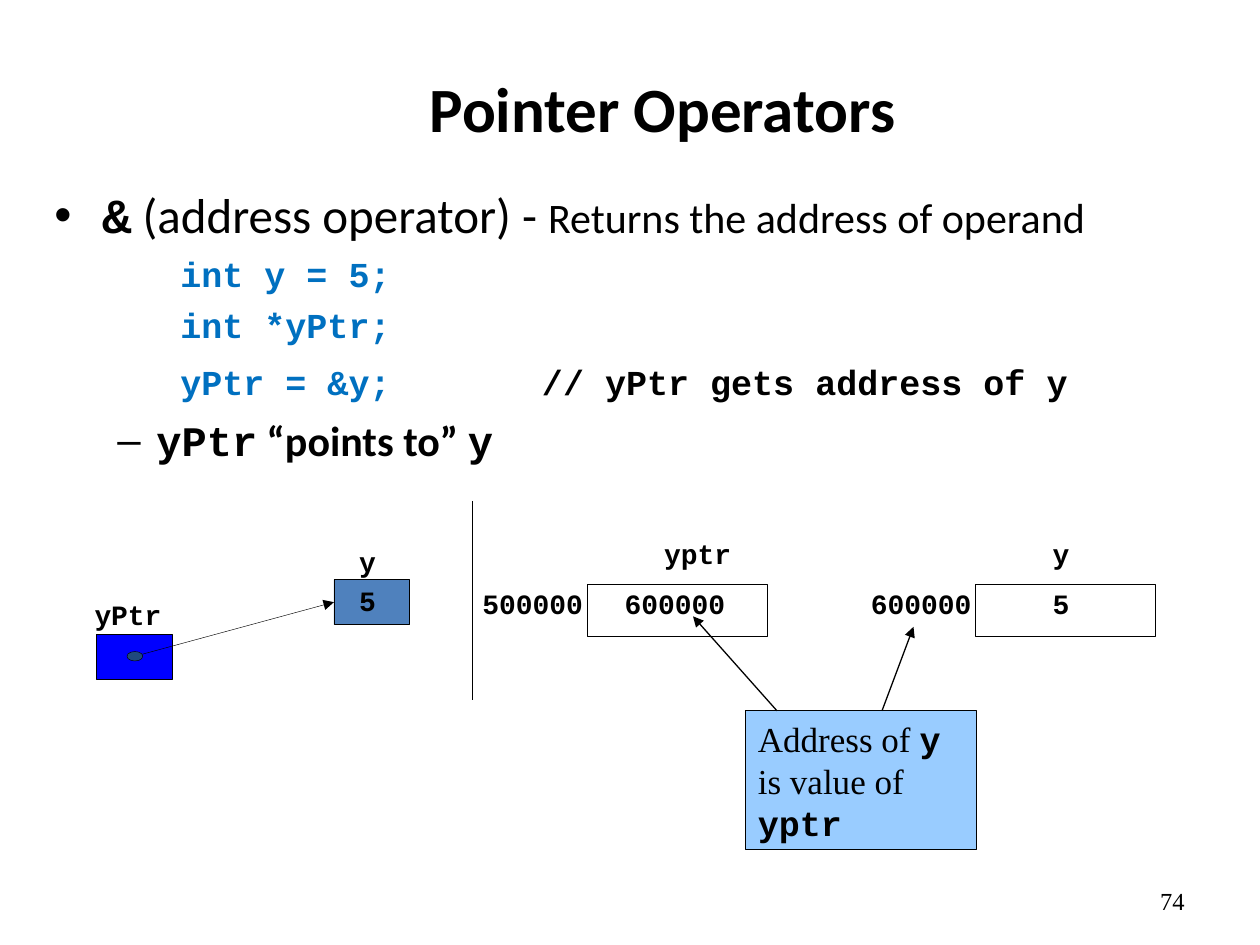
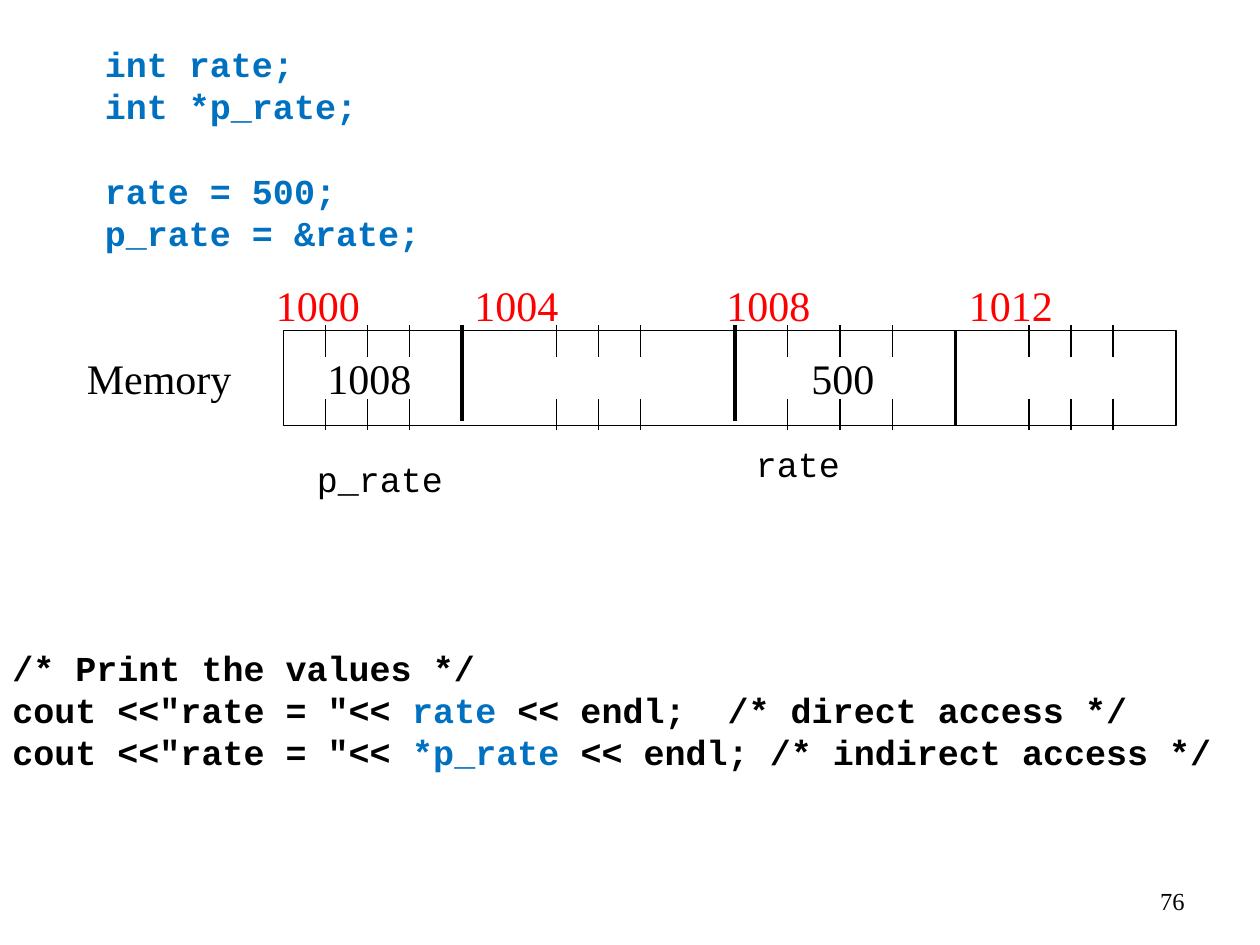
from collections import namedtuple
from dataclasses import dataclass
from lxml import etree
from pptx import Presentation
from pptx.dml.color import RGBColor
from pptx.enum.shapes import MSO_CONNECTOR, MSO_SHAPE
from pptx.enum.text import MSO_ANCHOR, PP_ALIGN
from pptx.oxml.ns import qn
from pptx.util import Inches, Pt

BOX, OVAL = MSO_SHAPE.RECTANGLE, MSO_SHAPE.OVAL
STRAIGHT = MSO_CONNECTOR.STRAIGHT
TOP, MIDDLE = MSO_ANCHOR.TOP, MSO_ANCHOR.MIDDLE
LEFT, CENTER, RIGHT = PP_ALIGN.LEFT, PP_ALIGN.CENTER, PP_ALIGN.RIGHT
COLS, ROWS = 120, 90  # grid of the slide, 12 steps to the inch

Style = namedtuple("Style", "font size color bold", defaults=("000000", False))
Para = namedtuple("Para", "runs margin hang bullet before", defaults=(0, 0, None, 0))


@dataclass(frozen=True)
class Theme:
    black: str = "000000"
    red: str = "FF0000"
    pointer: str = "0000FF"
    value: str = "4F81BD"
    dot: str = "1F497D"
    note: str = "99CCFF"
    thin: float = 0.25
    rule: float = 0.75
    thick: float = 2.25
    title: Style = Style("Calibri", 36, bold=True)
    lead: Style = Style("Calibri", 28)
    lead_code: Style = Style("Courier New", 28, bold=True)
    text: Style = Style("Calibri", 24)
    strong: Style = Style("Calibri", 24, bold=True)
    big_code: Style = Style("Courier New", 24, bold=True)
    code: Style = Style("Courier New", 20, bold=True)
    blue_code: Style = Style("Courier New", 20, "0070C0", True)
    plain_code: Style = Style("Courier New", 20)
    label: Style = Style("Courier New", 16, bold=True)
    serif: Style = Style("Times New Roman", 24)
    address: Style = Style("Times New Roman", 24, red)
    remark: Style = Style("Times New Roman", 20)
    number: Style = Style("Times New Roman", 14)


T = Theme()


def grid(*steps):
    return [Inches(step / 12) for step in steps]


def rgb(color):
    return RGBColor.from_string(color)


def add_tag(parent, name, **attrs):
    return etree.SubElement(parent, qn(name), attrs)


def mark(para, spec):
    """Set indent and bullet of a paragraph."""
    props = para._p.get_or_add_pPr()
    props.set("marL", str(Inches(spec.margin)))
    props.set("indent", str(Inches(-spec.hang)))
    if spec.bullet:
        add_tag(add_tag(props, "a:buClr"), "a:srgbClr", val=T.black)
        add_tag(props, "a:buFont", typeface="Arial")
        add_tag(props, "a:buChar", char=spec.bullet)
    else:
        add_tag(props, "a:buNone")


def write(frame, paras, align=LEFT, anchor=TOP, inset=True, spacing=None):
    frame.word_wrap = True
    frame.vertical_anchor = anchor
    frame.margin_left = frame.margin_right = Inches(0.1 if inset else 0)
    frame.margin_top = frame.margin_bottom = Inches(0.05 if inset else 0)
    for i, spec in enumerate(paras):
        para = frame.add_paragraph() if i else frame.paragraphs[0]
        mark(para, spec)
        para.alignment = align
        para.space_before = Pt(spec.before)
        if spacing:
            para.line_spacing = spacing
        for words, style in spec.runs:
            run = para.add_run()
            run.text = words
            run.font.name, run.font.size = style.font, Pt(style.size)
            run.font.bold = style.bold
            run.font.color.rgb = rgb(style.color)


def add_text(slide, place, paras, **how):
    write(slide.shapes.add_textbox(*grid(*place)).text_frame, paras, **how)


def add_word(slide, place, word, style, **how):
    add_text(slide, place, [Para([(word, style)])], **how)


def add_label(slide, x, y, word, spacing):
    add_word(slide, (x, y, 1.7 * len(word) + 0.5, 2.5), word, T.label,
             inset=False, spacing=spacing)


def add_box(slide, place, fill=None, width=T.thin, kind=BOX):
    box = slide.shapes.add_shape(kind, *grid(*place))
    box.shadow.inherit = False
    if fill:
        box.fill.solid()
        box.fill.fore_color.rgb = rgb(fill)
    else:
        box.fill.background()
    box.line.color.rgb = rgb(T.black)
    box.line.width = Pt(width)
    return box


def add_line(slide, ends, width=T.rule, arrow=False):
    line = slide.shapes.add_connector(STRAIGHT, *grid(*ends))
    line.line.color.rgb = rgb(T.black)
    line.line.width = Pt(width)
    if arrow:
        add_tag(line.line._get_or_add_ln(), "a:tailEnd", type="triangle")
    add_tag(line._element.spPr, "a:effectLst")
    return line


def add_slide(deck, number):
    slide = deck.slides.add_slide(deck.slide_layouts[6])
    add_word(slide, (86, 83.4, 28, 4.8), number, T.number, align=RIGHT, anchor=MIDDLE)
    return slide


def add_store(slide, x, name, address, value, shift):
    """Draw a memory cell with its name above and its address at the left."""
    add_label(slide, x + 7.35, 51.7, name, 0.8)
    add_label(slide, x - 9.95, 56.5, address, 0.8)
    add_label(slide, x + shift, 56.5, value, 0.8)
    add_box(slide, (x, 55.65, 17.15, 5))


def add_link(slide):
    """Draw the pointer box, the value box and the arrow between them."""
    add_box(slide, (9.2, 60.4, 7.2, 4.3), T.pointer)
    target = add_box(slide, (31.8, 55.2, 7.2, 4.3), T.value)
    arrow = add_line(slide, (12.85, 62.5, 31.8, 57.35), T.thin, True)
    arrow.end_connect(target, 1)
    add_box(slide, (12.1, 62.05, 1.5, 0.9), T.dot, kind=OVAL)
    for x, y, word in ((9, 57.7, "yPtr"), (34.2, 52.7, "y"), (34.2, 56.4, "5")):
        add_label(slide, x, y, word, 0.72)


def build_pointers(deck):
    slide = add_slide(deck, "74")
    add_word(slide, (12, 4.7, 102.2, 11), "Pointer Operators", T.title,
             align=CENTER, anchor=MIDDLE)
    code = [[("int y = 5;", T.blue_code)],
            [("int *yPtr;", T.blue_code)],
            [("yPtr = &y;", T.blue_code), ("      ", T.big_code),
             ("// yPtr gets address of y", T.code)]]
    lead = [("&", T.lead_code), (" (address operator) - ", T.lead),
            ("Returns the address of operand", T.text)]
    point = [("yPtr", T.big_code), (" “points to” ", T.strong), ("y", T.big_code)]
    add_text(slide, (4, 17, 113, 64),
             [Para(lead, 0.38, 0.38, "•")]
             + [Para(runs, 1, before=5) for runs in code]
             + [Para(point, 0.81, 0.31, "–", 6)])
    add_link(slide)
    add_line(slide, (45, 47.7, 45, 66.7))
    add_store(slide, 55.9, "yptr", "500000", "600000", 3.6)
    add_store(slide, 92.9, "y", "600000", "5", 7.35)
    note = add_box(slide, (71, 67.7, 22, 13.2), T.note, T.rule)
    write(note.text_frame, [Para([("Address of ", T.remark), ("y", T.code),
                                  (" is value of ", T.remark), ("yptr", T.code)])])
    for ends in ((84, 67.7, 87, 59.7), (74, 67.7, 66, 58.7)):
        add_line(slide, ends, arrow=True)


def add_memory(slide):
    """Draw the strip of memory with its cell walls and byte ticks."""
    add_box(slide, (27, 31.45, 85, 9.1), width=T.rule)
    for x, top in ((44, 31), (70, 31), (91, 31.45)):
        add_line(slide, (x, top, x, top + 9.1), T.thick)
    for middle, step in ((35, 4), (57, 4), (80, 5), (102, 4)):
        for x in (middle - step, middle, middle + step):
            for top in (31, 38):
                add_line(slide, (x, top, x, top + 3))
    for x, word in ((25.1, "1000"), (44, "1004"), (68, "1008"), (91.1, "1012")):
        add_word(slide, (x, 26, 10.6, 6), word, T.address)
    for x, wide, word in ((7.1, 16.6, "Memory"), (30, 10.6, "1008"), (76.1, 8.6, "500")):
        add_word(slide, (x, 33, wide, 6), word, T.serif)
    add_word(slide, (70.8, 41.6, 10.6, 5.3), "rate", T.plain_code)
    add_word(slide, (29, 43, 14.6, 5.3), "p_rate", T.plain_code)


def build_memory(deck):
    slide = add_slide(deck, "76")
    code = (("int rate;", 0), ("int *p_rate;", 0),
            ("rate = 500;", 24), ("p_rate = &rate;", 0))
    add_text(slide, (8.8, 3.5, 33, 21.2),
             [Para([(words, T.blue_code)], before=gap) for words, gap in code])
    add_memory(slide)
    start = ('cout <<"rate = "<< ', T.code)
    add_text(slide, (0, 61, COLS, 13.2), [
        Para([("/* Print the values */", T.code)]),
        Para([start, ("rate", T.blue_code),
              (" << endl;  /* direct access */", T.code)]),
        Para([start, ("*p_rate ", T.blue_code),
              ("<< endl; /* indirect access */", T.code)])])


def main():
    deck = Presentation()
    deck.slide_width, deck.slide_height = grid(COLS, ROWS)
    build_pointers(deck)
    build_memory(deck)
    deck.save("out.pptx")


if __name__ == "__main__":
    main()
